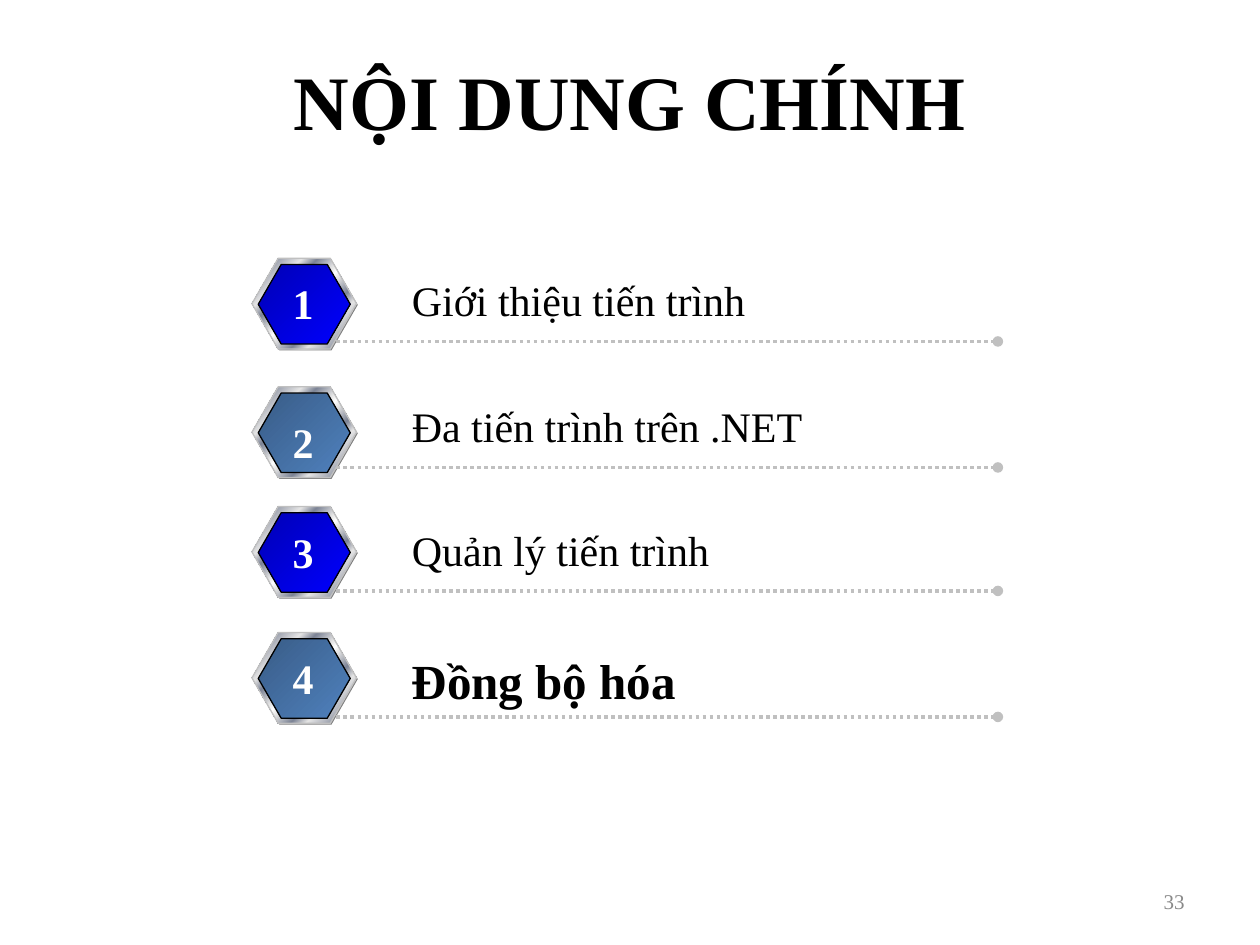
import pptx
import pptx.util
from lxml import etree
from pptx.dml.color import RGBColor
from pptx.enum.dml import MSO_LINE
from pptx.enum.shapes import MSO_CONNECTOR, MSO_SHAPE
from pptx.enum.text import MSO_ANCHOR, MSO_AUTO_SIZE, PP_ALIGN
from pptx.oxml.ns import qn

SILVER = ["E6E6E6", "7D8496", "E6E6E6", "7D8496", "E6E6E6", "FFFFFF",
          "E6E6E6", "7D8496", "E6E6E6", "7D8496", "E6E6E6"]
THEME = {
    "font": "Times New Roman",
    "ink": "000000", "white": "FFFFFF", "muted": "898989",
    "shadow": "808080", "rule": "C0C0C0",
    "metal": list(zip([0, 8, 26, 34, 46, 50, 54, 66, 74, 92, 100], SILVER)),
    "blue": [(0, "0000B6"), (100, "0000FF")],
    "steel": [(0, "395C87"), (100, "4F81BD")],
    "title": 44, "current": 28, "body": 24, "small": 12,
}

TITLE = "NỘI DUNG CHÍNH"
PAGE = "33"
# label, label width, is current topic, badge top, number top, rule height
TOPICS = [
    ("Giới thiệu tiến trình", 2.87, False, 2.05, 2.15, 2.71),
    ("Đa tiến trình trên .NET", 3.33, False, 3.07, 3.26, 3.71),
    ("Quản lý tiến trình", 2.58, False, 4.02, 4.13, 4.69),
    ("Đồng bộ hóa", 2.32, True, 5.02, 5.13, 5.69),
]
BADGE_X, NUMBER_X, RULE_X, LABEL_X, RULE_END = 2, 2.22, 2.67, 3.17, 7.92
LABEL_RISE = 0.58

inch = pptx.util.Inches


def rgb(name):
    return RGBColor.from_string(THEME[name])


def write(tf, text, size, color="ink", bold=False, align=PP_ALIGN.LEFT):
    p = tf.paragraphs[0]
    p.alignment = align
    r = p.add_run()
    r.text = text
    style = {"name": THEME["font"], "size": pptx.util.Pt(THEME[size]), "bold": bold}
    for key, value in style.items():
        setattr(r.font, key, value)
    r.font.color.rgb = rgb(color)


def add_text(s, x, y, w, h, text, size, **style):
    """Add a one-line text box that fits its text."""
    tf = s.shapes.add_textbox(inch(x), inch(y), inch(w), inch(h)).text_frame
    tf.word_wrap = False
    tf.auto_size = MSO_AUTO_SIZE.SHAPE_TO_FIT_TEXT
    write(tf, text, size, **style)
    return tf


def set_gradient(shape, stops):
    shape.fill.gradient()
    shape.fill.gradient_angle = 315  # counter-clockwise: top left to bottom right
    stop_list = shape.fill._fill._gradFill.find(qn("a:gsLst"))
    for old in list(stop_list):
        stop_list.remove(old)
    for percent, color in stops:
        stop = etree.SubElement(stop_list, qn("a:gs"), pos=str(percent * 1000))
        etree.SubElement(stop, qn("a:srgbClr"), val=color)


def add_hexagon(group, x, y, w, h, fill, line=None):
    hexagon = group.shapes.add_shape(
        MSO_SHAPE.HEXAGON, inch(x), inch(y), inch(w), inch(h))
    hexagon.shadow.inherit = False
    hexagon.adjustments[0], hexagon.adjustments[1] = 0.289, 1.155
    if line:
        set_gradient(hexagon, THEME[fill])
        hexagon.line.color.rgb = rgb(line)
        hexagon.line.width = pptx.util.Pt(0.75)
    else:
        hexagon.fill.solid()
        hexagon.fill.fore_color.rgb = rgb(fill)
        hexagon.line.fill.background()


def add_badge(s, y, face):
    group = s.shapes.add_group_shape()
    add_hexagon(group, BADGE_X + 0.01, y + 0.01, 0.83, 0.72, "shadow")
    add_hexagon(group, BADGE_X, y, 0.83, 0.72, "metal", "rule")
    add_hexagon(group, BADGE_X + 0.05, y + 0.05, 0.73, 0.63, face, "ink")


def add_rule(s, y):
    rule = s.shapes.add_connector(
        MSO_CONNECTOR.STRAIGHT, inch(RULE_X), inch(y), inch(RULE_END), inch(y))
    rule.line.color.rgb = rgb("rule")
    rule.line.width = pptx.util.Pt(2)
    rule.line.dash_style = MSO_LINE.ROUND_DOT  # stored as sysDot
    etree.SubElement(rule.line._get_or_add_ln(), qn("a:tailEnd"), type="oval")
    etree.SubElement(rule._element.spPr, qn("a:effectLst"))


def main():
    prs = pptx.Presentation()
    prs.slide_width, prs.slide_height = inch(10), inch(7.5)
    s = prs.slides.add_slide(prs.slide_layouts[5])

    title = s.shapes.title
    box = {"left": 0.5, "top": 0.17, "width": 9, "height": 1.25}
    for key, value in box.items():
        setattr(title, key, inch(value))
    title.text_frame.vertical_anchor = MSO_ANCHOR.MIDDLE
    write(title.text_frame, TITLE, "title", bold=True, align=PP_ALIGN.CENTER)

    for number, topic in enumerate(TOPICS, 1):
        label, width, current, badge_y, number_y, rule_y = topic
        add_badge(s, badge_y, "blue" if number % 2 else "steel")
        add_rule(s, rule_y)
        add_text(s, LABEL_X, rule_y - LABEL_RISE, width, 0.57 if current else 0.51,
                 label, "current" if current else "body", bold=current)
        add_text(s, NUMBER_X, number_y, 0.37, 0.51, str(number), "body",
                 color="white", bold=True, align=PP_ALIGN.CENTER)

    page = add_text(s, 7.17, 6.95, 2.33, 0.4, PAGE, "small",
                    color="muted", align=PP_ALIGN.RIGHT)
    page.word_wrap = True
    page.auto_size = MSO_AUTO_SIZE.NONE
    page.vertical_anchor = MSO_ANCHOR.MIDDLE

    prs.save("out.pptx")


if __name__ == "__main__":
    main()
